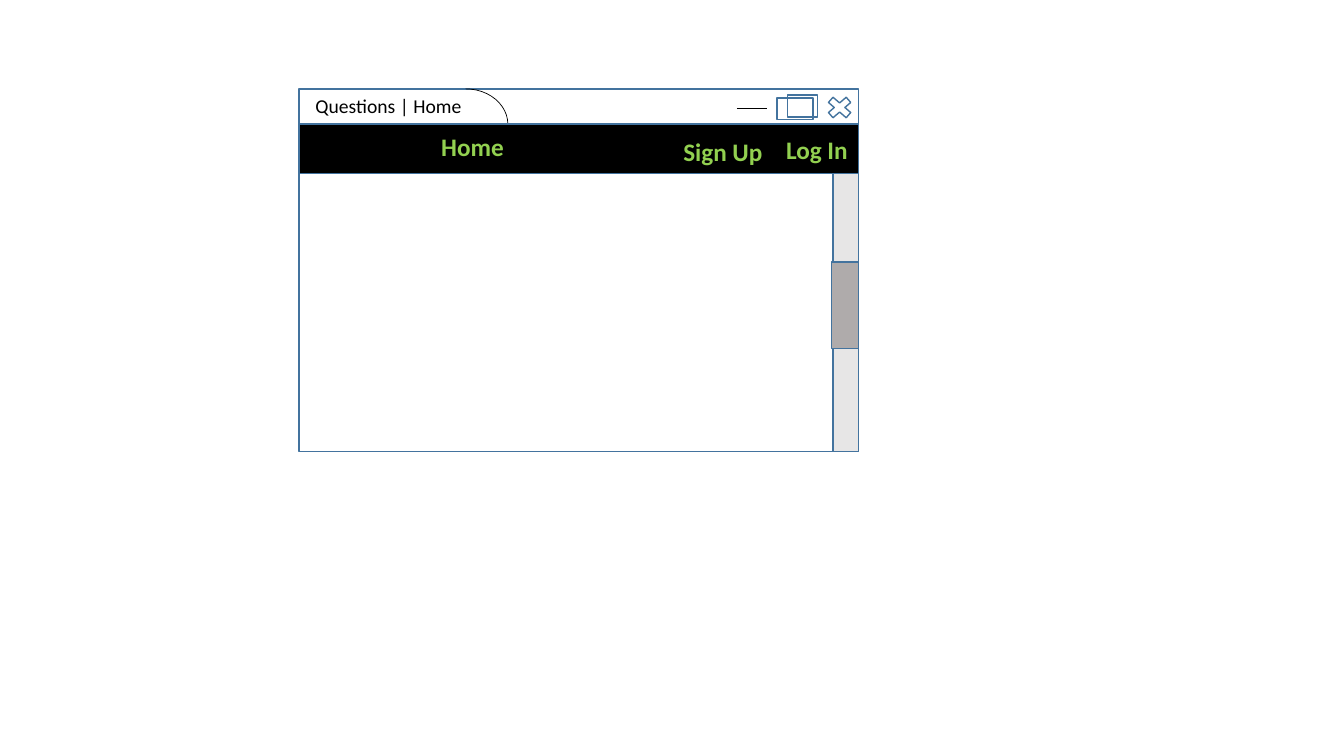
from lxml.etree import SubElement
from pptx import Presentation
from pptx.dml.color import RGBColor
from pptx.enum.shapes import MSO_CONNECTOR, MSO_SHAPE
from pptx.oxml.ns import qn
from pptx.util import Cm, Pt

BLACK = RGBColor(0x00, 0x00, 0x00)
BLUE = RGBColor(0x43, 0x73, 0x9E)
GREEN = RGBColor(0x92, 0xD0, 0x50)
LIGHT_GREY = RGBColor(0xE7, 0xE6, 0xE6)
MID_GREY = RGBColor(0xAF, 0xAB, 0xAB)

# Browser window, in centimetres
LEFT, TOP, WIDTH, HEIGHT = 7.54, 2.24, 14.1, 9.14
TITLE_HEIGHT, MENU_HEIGHT, SCROLL_WIDTH = 0.89, 1.24, 0.65
RIGHT = LEFT + WIDTH
MENU_TOP = TOP + TITLE_HEIGHT
PAGE_TOP = MENU_TOP + MENU_HEIGHT


def write_text(frame, text, size=18, color=GREEN, bold=True, font="Calibri"):
    run = frame.paragraphs[0].add_run()
    run.text = text
    run.font.name = font
    run.font.size = Pt(size)
    run.font.bold = bold
    run.font.color.rgb = color


class BrowserMockup:
    """Draws grouped wireframe elements on one slide."""

    def __init__(self, slide):
        self.shapes = slide.shapes.add_group_shape().shapes

    def outline(self, kind, left, top, width, height, fill=None, color=BLUE, weight=1):
        shape = self.shapes.add_shape(kind, Cm(left), Cm(top), Cm(width), Cm(height))
        shape.shadow.inherit = False
        if fill is None:
            shape.fill.background()
        else:
            shape.fill.solid()
            shape.fill.fore_color.rgb = fill
        shape.line.color.rgb = color
        shape.line.width = Pt(weight)

    def box(self, *bounds, **style):
        self.outline(MSO_SHAPE.RECTANGLE, *bounds, **style)

    def rule(self, left, right, top):
        line = self.shapes.add_connector(
            MSO_CONNECTOR.STRAIGHT, Cm(left), Cm(top), Cm(right), Cm(top))
        line.line.color.rgb = BLACK
        line.line.width = Pt(0.5)
        SubElement(line._element.spPr, qn("a:effectLst"))

    def label(self, text, left, top, width, height, **style):
        frame = self.shapes.add_textbox(
            Cm(left), Cm(top), Cm(width), Cm(height)).text_frame
        frame.word_wrap = True
        write_text(frame, text, **style)


def main():
    presentation = Presentation()
    presentation.slide_width, presentation.slide_height = Cm(33.87), Cm(19.05)
    slide = presentation.slides.add_slide(presentation.slide_layouts[6])
    mockup = BrowserMockup(slide)

    # Window frame and tab
    mockup.box(LEFT, TOP, WIDTH, HEIGHT)
    mockup.rule(LEFT, RIGHT, MENU_TOP)
    mockup.outline(MSO_SHAPE.ARC, 10.67, TOP, 2.13, 2 * TITLE_HEIGHT,
                   color=BLACK, weight=0.5)
    mockup.label("Questions | Home", 7.7, TOP, 5.08, 0.86,
                 size=14, color=BLACK, bold=False)

    # Menu bar
    mockup.box(LEFT, MENU_TOP, WIDTH, MENU_HEIGHT, fill=BLACK)
    for text, left, top, width in (("Home", 10.87, 3.18, 5.1),
                                   ("Sign Up", 16.97, 3.3, 3.2),
                                   ("Log In", 19.56, 3.25, 2.9)):
        mockup.label(text, left, top, width, 1.02)

    # Scroll bar
    mockup.box(RIGHT - SCROLL_WIDTH, PAGE_TOP, SCROLL_WIDTH,
               TOP + HEIGHT - PAGE_TOP, fill=LIGHT_GREY)
    mockup.box(20.96, 6.6, 0.67, 2.18, fill=MID_GREY)

    # Window buttons: minimise, restore, close
    mockup.rule(18.57, 19.33, 2.72)
    mockup.box(19.58, 2.47, 0.91, 0.54)
    mockup.box(19.84, 2.39, 0.77, 0.56)
    mockup.outline(MSO_SHAPE.MATH_MULTIPLY, 20.73, 2.34, 0.86, 0.74)

    presentation.save("out.pptx")


if __name__ == "__main__":
    main()
